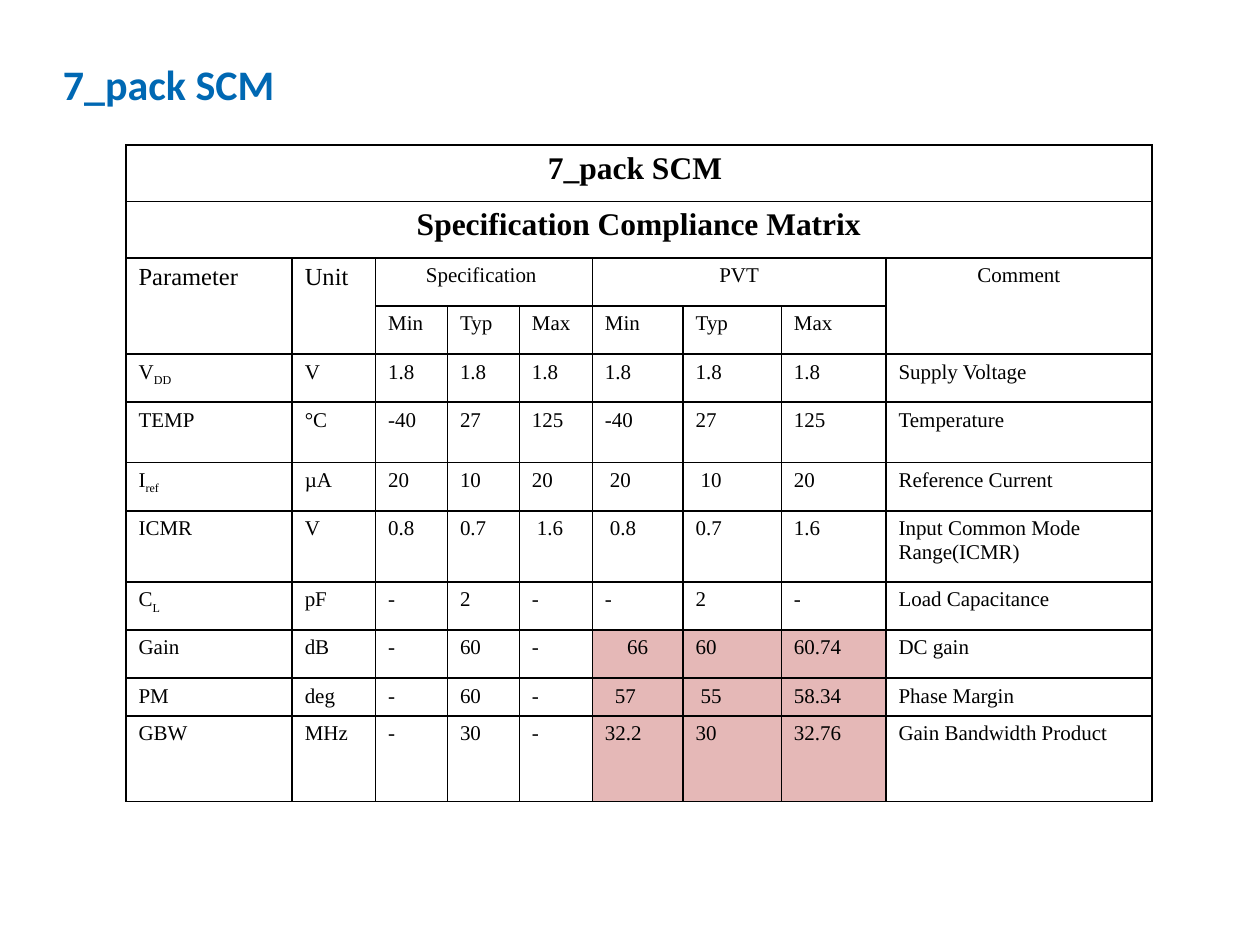
from dataclasses import dataclass

from lxml.etree import SubElement
from pptx import Presentation
from pptx.dml.color import RGBColor as Color
from pptx.enum.text import MSO_ANCHOR as Anchor, PP_ALIGN as Align
from pptx.oxml.ns import qn
from pptx.util import Cm, Pt


@dataclass(frozen=True)
class Theme:
    title_font: str = "Calibri"
    table_font: str = "Times New Roman"
    title_color: str = "0068B3"
    ink: str = "000000"
    highlight: str = "E5B8B7"
    title_size: int = 24
    banner_size: int = 18
    label_size: int = 14
    body_size: int = 12
    border: int = 1


COLUMN_WIDTHS = [3.35, 1.68, 1.45, 1.45, 1.47, 1.83, 1.98, 2.11, 5.36]
ROW_HEIGHTS = [1.14, 1.14, 0.97, 0.97, 0.97, 1.22, 0.97, 1.43, 0.97, 0.97, 0.72, 1.73]
LIMITS = ["Min", "Typ", "Max"]
ROWS = [
    ["7_pack SCM "] + [""] * 8,
    ["Specification Compliance Matrix"] + [""] * 8,
    ["Parameter", "Unit", "Specification ", "", "", "PVT", "", "", "Comment"],
    ["", "", *LIMITS, *LIMITS, ""],
    [("V", "DD"), "V", "1.8", "1.8", "1.8", "1.8", "1.8", "1.8", "Supply Voltage"],
    ["TEMP", "°C", "-40", "27", "125", "-40", "27", "125", "Temperature"],
    [("I", "ref"), "µA", "20", "10", "20", "20", "10", "20", "Reference Current"],
    ["ICMR", "V", "0.8", "0.7", "1.6", "0.8", "0.7", "1.6", "Input Common Mode Range(ICMR)"],
    [("C", "L"), "pF", "-", "2", "-", "-", "2", "-", "Load Capacitance"],
    ["Gain", "dB", "-", "60", "-", "66", "60", "60.74", "DC gain"],
    ["PM", "deg", "-", "60", "-", "57", "55", "58.34", "Phase Margin"],
    ["GBW", "MHz", "-", "30", "-", "32.2", "30", "32.76", "Gain Bandwidth Product"],
]
MERGES = [
    (0, 0, 0, 8), (1, 0, 1, 8),
    (2, 0, 3, 0), (2, 1, 3, 1), (2, 8, 3, 8),
    (2, 2, 2, 4), (2, 5, 2, 7),
]
CENTERED = {(0, 0), (1, 0), (2, 2), (2, 5), (2, 8), (9, 5)}
INDENTS = {(6, 5): 0.1, (6, 6): 0.1, (7, 4): 0.1, (7, 5): 0.1, (10, 5): 0.2, (10, 6): 0.1}
HIGHLIGHTED = {(row, column) for row in (9, 10, 11) for column in (5, 6, 7)}


class SlideBuilder:
    def __init__(self, slide, theme):
        self.slide = slide
        self.theme = theme

    def style(self, para, name, size, color, bold=False):
        font = para.font
        font.name, font.size, font.bold = name, Pt(size), bold
        font.color.rgb = Color.from_string(color)

    def title(self, text, left, top, width, height):
        box = self.slide.shapes.add_textbox(Cm(left), Cm(top), Cm(width), Cm(height))
        frame = box.text_frame
        frame.word_wrap = True
        frame.vertical_anchor = Anchor.MIDDLE
        frame.margin_left = frame.margin_right = frame.margin_top = frame.margin_bottom = 0
        para = frame.paragraphs[0]
        para.text = text
        para.line_spacing = 1.5
        self.style(para, self.theme.title_font, self.theme.title_size, self.theme.title_color, True)

    def table(self, left, top):
        frame = self.slide.shapes.add_table(
            len(ROWS), len(COLUMN_WIDTHS), Cm(left), Cm(top),
            Cm(sum(COLUMN_WIDTHS)), Cm(sum(ROW_HEIGHTS)))
        table = frame.table
        table.first_row = table.horz_banding = False
        for column, width in zip(table.columns, COLUMN_WIDTHS):
            column.width = Cm(width)
        for row, height in zip(table.rows, ROW_HEIGHTS):
            row.height = Cm(height)
        for row, contents in enumerate(ROWS):
            for column, content in enumerate(contents):
                self.cell(table.cell(row, column), content, (row, column))
        for top_row, first, bottom_row, last in MERGES:
            table.cell(top_row, first).merge(table.cell(bottom_row, last))

    def cell(self, cell, content, place):
        self.borders(cell)
        if place in HIGHLIGHTED:
            cell.fill.solid()
            cell.fill.fore_color.rgb = Color.from_string(self.theme.highlight)
        else:
            cell.fill.background()
        para = cell.text_frame.paragraphs[0]
        base, subscript = content if isinstance(content, tuple) else (content, "")
        if base:
            para.add_run().text = base
        if subscript:
            span = para.add_run()
            span.text = subscript
            span.font._element.set("baseline", "-25000")
        para.alignment = Align.CENTER if place in CENTERED else Align.LEFT
        if place in INDENTS:
            para._p.get_or_add_pPr().set("marL", str(Cm(INDENTS[place])))
        banner = place[0] < 2
        if banner:
            size = self.theme.banner_size
        elif place in {(2, 0), (2, 1)}:
            size = self.theme.label_size
        else:
            size = self.theme.body_size
        self.style(para, self.theme.table_font, size, self.theme.ink, banner)

    def borders(self, cell):
        properties = cell._tc.get_or_add_tcPr()
        for side in ("a:lnL", "a:lnR", "a:lnT", "a:lnB"):
            line = SubElement(properties, qn(side), w=str(Pt(self.theme.border)))
            fill = SubElement(line, qn("a:solidFill"))
            SubElement(fill, qn("a:srgbClr"), val=self.theme.ink)


def main():
    deck = Presentation()
    deck.slide_width, deck.slide_height = Cm(25.4), Cm(19.05)
    page = SlideBuilder(deck.slides.add_slide(deck.slide_layouts[6]), Theme())
    page.title("7_pack SCM", 1.27, 0.76, 22.86, 1.35)
    page.table(2.54, 2.92)
    deck.save("out.pptx")


if __name__ == "__main__":
    main()
